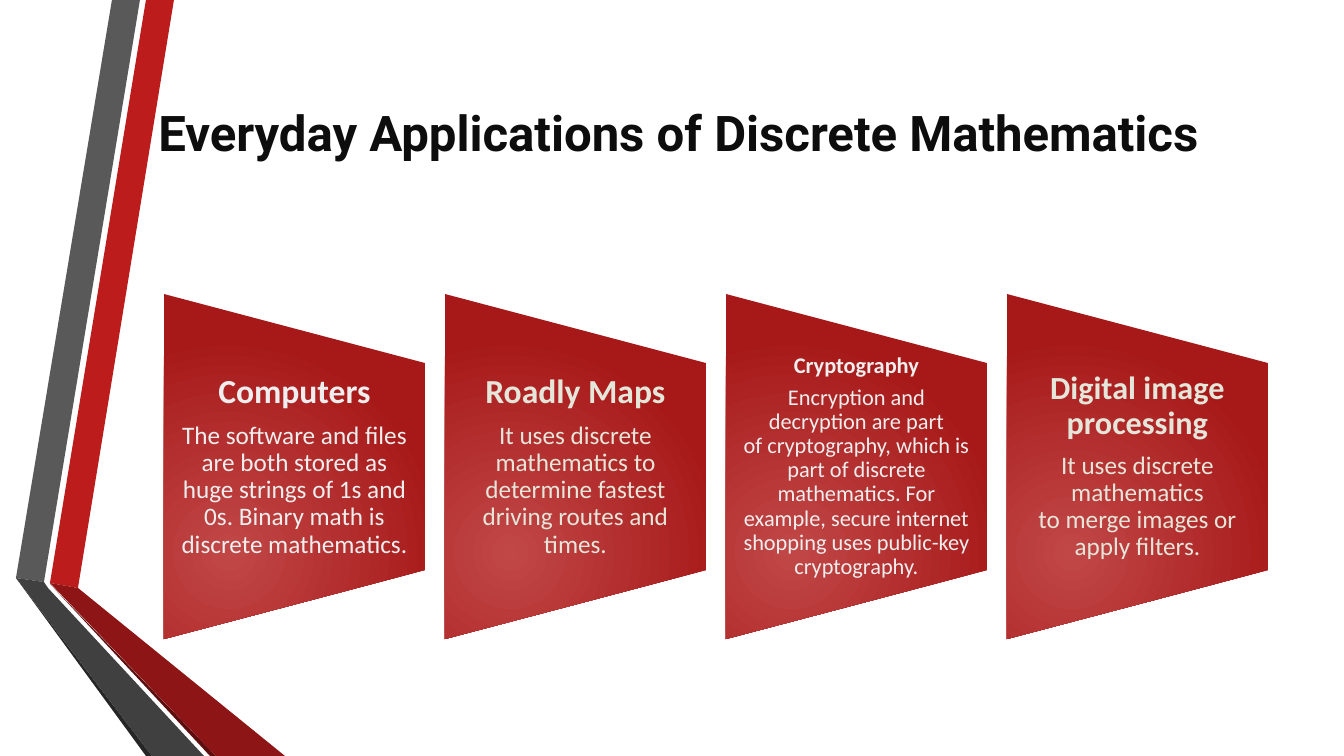
from lxml import etree
from pptx import Presentation
from pptx.dml.color import RGBColor
from pptx.enum.shapes import MSO_SHAPE
from pptx.enum.text import MSO_ANCHOR, MSO_AUTO_SIZE, PP_ALIGN
from pptx.oxml.ns import qn
from pptx.util import Emu, Pt

TRAPEZOID = MSO_SHAPE.FLOWCHART_MANUAL_OPERATION
MIDDLE = MSO_ANCHOR.MIDDLE
CENTER = PP_ALIGN.CENTER
NO_FIT = MSO_AUTO_SIZE.NONE

PIXEL = 9071  # EMU in one pixel at 100.8 pixels to the inch
TITLE_ONLY = 5

RED = RGBColor(0xBC, 0x1C, 0x1C)
DARK_RED = RGBColor(0x8D, 0x15, 0x15)
DEEP_RED = RGBColor(0x5E, 0x0E, 0x0E)
GREY = RGBColor(0x59, 0x59, 0x59)
DARK_GREY = RGBColor(0x40, 0x40, 0x40)
DEEP_GREY = RGBColor(0x26, 0x26, 0x26)
GLOW = RGBColor(0xC1, 0x47, 0x47)
PANEL_RED = RGBColor(0xA7, 0x19, 0x19)
INK = RGBColor(0x0D, 0x0D, 0x0D)
PALE = RGBColor(0xEE, 0xEE, 0xEE)
CREAM = RGBColor(0xE5, 0xE6, 0xDA)

# Ribbon pieces from back to front: colour and corners
RIBBON = [
    (RED, [(50, 583), (78, 588), (174, 0), (146, 0)]),
    (GREY, [(140, 0), (112, 0), (16, 578), (44, 582)]),
    (DEEP_GREY, [(16, 578), (146, 756), (152, 756)]),
    (DEEP_RED, [(50, 584), (210, 756), (216, 756)]),
    (DARK_RED, [(50, 583), (216, 756), (285, 756), (78, 588)]),
    (DARK_GREY, [(204, 756), (48, 588), (44, 582), (16, 578), (152, 756)]),
]

# Heading, its size, description, its size, text colour, side inset
APPLICATIONS = [
    ("Computers", 24,
     "The software and files are both stored as huge strings of 1s and 0s."
     "\u00a0Binary math is discrete mathematics.", 18, PALE, 17),
    ("Roadly Maps", 24,
     "It uses discrete mathematics to determine fastest driving routes "
     "and times.", 18, CREAM, 17),
    ("Cryptography", 16,
     "Encryption and decryption are part of\u00a0cryptography, which is part "
     "of discrete mathematics. For example,\u00a0secure internet "
     "shopping\u00a0uses public-key cryptography.", 16, PALE, 11),
    ("Digital image processing", 23,
     "It uses discrete mathematics to\u00a0merge images\u00a0or apply "
     "filters.", 18, CREAM, 16),
]

PANEL_LEFT, PANEL_TOP, PANEL_WIDTH, PANEL_HEIGHT = 164, 294, 261, 345
PANEL_STEP = 281
TEXT_TOP, TEXT_HEIGHT = 363, 207


def px(*lengths):
    """Turn pixel lengths into EMU."""
    return [Emu(round(length * PIXEL)) for length in lengths]


class SlideStyle:
    """Holds the fonts and the current slide and draws its elements."""

    title_font = "Roboto"
    body_font = "Calibri"

    def __init__(self, page):
        """Keep the slide to draw on."""
        self.page = page

    def add_span(self, para, text, *, font, size, color, bold, line, after=0):
        """Put one formatted, centred span into a paragraph."""
        para.alignment = CENTER
        para.line_spacing = line
        para.space_before = Pt(0)
        para.space_after = Pt(after)
        span = para.add_run()
        span.text = text
        span.font.name = font
        span.font.size = Pt(size)
        span.font.bold = bold
        span.font.color.rgb = color

    def title(self, text, left, top, width, height):
        """Place and fill the title placeholder."""
        box = self.page.shapes.title
        box.left, box.top, box.width, box.height = px(left, top, width, height)
        frame = box.text_frame
        frame.word_wrap = True
        frame.auto_size = NO_FIT
        frame.vertical_anchor = MIDDLE
        self.add_span(frame.paragraphs[0], text, font=self.title_font,
                      size=35.1, color=INK, bold=True, line=0.95)

    def polygon(self, color, corners):
        """Draw a filled outline without a border."""
        builder = self.page.shapes.build_freeform(*corners[0], scale=PIXEL)
        builder.add_line_segments(corners[1:], close=True)
        shape = builder.convert_to_shape()
        shape.shadow.inherit = False
        shape.fill.solid()
        shape.fill.fore_color.rgb = color
        shape.line.fill.background()

    def panel(self, left, top, width, height):
        """Draw a trapezoid turned a quarter left, given as it appears."""
        turn = (height - width) / 2
        shape = self.page.shapes.add_shape(
            TRAPEZOID, *px(left - turn, top + turn, height, width))
        shape.rotation = 270
        shape.shadow.inherit = False
        shape.line.fill.background()
        self.radial_fill(shape, GLOW, PANEL_RED)

    def radial_fill(self, shape, inner, outer):
        """Fill a shape with a circular gradient."""
        shape.fill.gradient()
        for stop, color, position in zip(
                shape.fill.gradient_stops, (inner, outer), (0, 1)):
            stop.color.rgb = color
            stop.position = position
        gradient = shape.element.spPr.find(qn("a:gradFill"))
        gradient.remove(gradient.find(qn("a:lin")))
        circle = etree.SubElement(gradient, qn("a:path"), path="circle")
        etree.SubElement(circle, qn("a:fillToRect"),
                         l="50000", t="100000", r="100000", b="50000")

    def caption(self, left, top, width, height, *, parts, color, inset):
        """Add a text box of (text, size, bold) paragraphs."""
        box = self.page.shapes.add_textbox(*px(left, top, width, height))
        frame = box.text_frame
        frame.word_wrap = True
        frame.auto_size = NO_FIT
        frame.vertical_anchor = MIDDLE
        frame.margin_left = frame.margin_right = px(inset)[0]
        frame.margin_top = frame.margin_bottom = 0
        for number, (text, size, bold) in enumerate(parts):
            para = frame.add_paragraph() if number else frame.paragraphs[0]
            self.add_span(para, text, font=self.body_font, size=size,
                          color=color, bold=bold, line=0.9, after=size * 0.35)


def main():
    """Build the slide and save the deck."""
    deck = Presentation()
    deck.slide_width, deck.slide_height = px(1344, 756)
    page = deck.slides.add_slide(deck.slide_layouts[TITLE_ONLY])
    style = SlideStyle(page)

    for color, corners in RIBBON:
        style.polygon(color, corners)
    style.title("Everyday Applications of Discrete Mathematics",
                148, 60, 1061, 150)
    for column, application in enumerate(APPLICATIONS):
        heading, heading_size, detail, detail_size, color, inset = application
        left = PANEL_LEFT + column * PANEL_STEP
        style.panel(left, PANEL_TOP, PANEL_WIDTH, PANEL_HEIGHT)
        style.caption(left, TEXT_TOP, PANEL_WIDTH, TEXT_HEIGHT,
                      parts=[(heading, heading_size, True),
                             (detail, detail_size, False)],
                      color=color, inset=inset)
    deck.save("out.pptx")


main()
